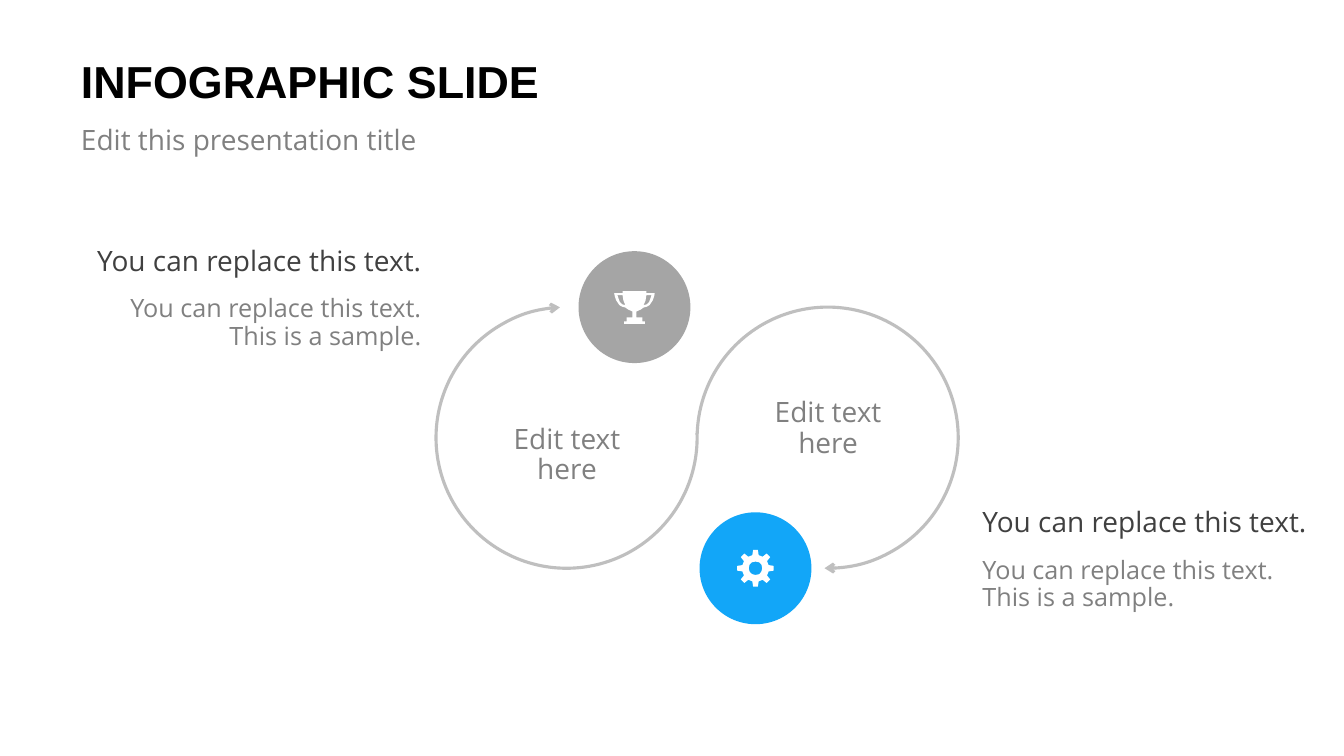
from math import cos, radians, sin

from lxml.etree import SubElement
from pptx import Presentation
from pptx.dml.color import RGBColor
from pptx.enum.shapes import MSO_SHAPE
from pptx.enum.text import MSO_ANCHOR, MSO_AUTO_SIZE, PP_ALIGN
from pptx.oxml.ns import qn
from pptx.util import Cm, Pt

BLACK = RGBColor(0x00, 0x00, 0x00)
DARK = RGBColor(0x40, 0x40, 0x40)
GRAY = RGBColor(0x80, 0x80, 0x80)
SILVER = RGBColor(0xA5, 0xA5, 0xA5)
LIGHT = RGBColor(0xBF, 0xBF, 0xBF)
BLUE = RGBColor(0x12, 0xA6, 0xF8)
WHITE = RGBColor(0xFF, 0xFF, 0xFF)

RING = 6.58   # diameter of each loop, cm
DISC = 2.82   # diameter of each icon disc, cm
UNIT = Cm(0.01)

# Right half of the trophy, from its top centre, in 0.1 mm
CUP = [(0, 0), (30, 0), (30, 5), (51, 5), (50, 11), (46, 23), (38, 35), (31, 39),
       (23, 41), (16, 46), (5, 51), (5, 66), (20, 66), (20, 76), (26, 76), (26, 82)]
HANDLE = [(30, 10), (28, 23), (23, 35), (31, 33), (37, 27), (43, 10)]


def write(frame, text, size=20, color=GRAY, font="Open Sans", bold=False,
          align=PP_ALIGN.LEFT, anchor=MSO_ANCHOR.TOP, wrap=True,
          fit=MSO_AUTO_SIZE.SHAPE_TO_FIT_TEXT, space=0.9):
    frame.word_wrap = wrap
    frame.auto_size = fit
    frame.vertical_anchor = anchor
    para = frame.paragraphs[0]
    para.text = text
    para.alignment = align
    para.line_spacing = space
    para.space_before = Pt(0)
    for run in para.runs:
        run.font.name = font
        run.font.size = Pt(size)
        run.font.bold = bold
        run.font.color.rgb = color
    return para


def label(slide, box, text, **form):
    frame = slide.shapes.add_textbox(*map(Cm, box)).text_frame
    write(frame, text, **form)


def paint(shape, color):
    shape.shadow.inherit = False
    shape.fill.solid()
    shape.fill.fore_color.rgb = color
    shape.line.fill.background()


def outline(slide, x, y, paths, color):
    """Fill closed paths, given in 0.1 mm around the point x, y."""
    pen = slide.shapes.build_freeform(*paths[0][0], scale=UNIT)
    pen.add_line_segments(paths[0][1:], close=True)
    for path in paths[1:]:
        pen.move_to(*path[0])
        pen.add_line_segments(path[1:], close=True)
    paint(pen.convert_to_shape(Cm(x), Cm(y)), color)


def polar(radius, angle):
    return radius * cos(radians(angle)), radius * sin(radians(angle))


def gear(slide, x, y):
    rim = [polar(r, tooth + turn) for tooth in range(0, 360, 45)
           for r, turn in ((34, -13), (46, -8), (46, 8), (34, 13))]
    hole = [polar(17, turn) for turn in range(360, 0, -15)]
    outline(slide, x, y, [rim, hole], WHITE)


def trophy(slide, x, y):
    def flip(half):
        return [(-dx, dy) for dx, dy in reversed(half)]
    paths = [CUP + flip(CUP), HANDLE, flip(HANDLE)]
    outline(slide, x, y - 0.4, paths, WHITE)


def loop(slide, x, y, start, end):
    arc = slide.shapes.add_shape(MSO_SHAPE.ARC, Cm(x), Cm(y), Cm(RING), Cm(RING))
    # One degree is 0.6 in adjustment units
    arc.adjustments[0] = start * 0.6
    arc.adjustments[1] = end * 0.6
    arc.shadow.inherit = False
    arc.fill.background()
    arc.line.color.rgb = LIGHT
    arc.line.width = Pt(2.25)
    SubElement(arc.line._get_or_add_ln(), qn("a:tailEnd"), type="arrow")


def disc(slide, x, y, color, icon):
    shape = slide.shapes.add_shape(MSO_SHAPE.OVAL, Cm(x - DISC / 2), Cm(y - DISC / 2),
                                   Cm(DISC), Cm(DISC))
    paint(shape, color)
    icon(slide, x, y)


def header(slide, x, y):
    title, body = slide.placeholders
    for holder, box in ((title, (x, y, 21.59, 1.98)), (body, (x, y + 1.98, 11, 1.42))):
        holder.left, holder.top, holder.width, holder.height = map(Cm, box)
        frame = holder.text_frame
        frame.margin_left = frame.margin_right = Cm(0.34)
        frame.margin_top = frame.margin_bottom = Cm(0.17)
    write(title.text_frame, "INFOGRAPHIC SLIDE", size=32, color=BLACK, font="Arial",
          bold=True, anchor=MSO_ANCHOR.MIDDLE, fit=MSO_AUTO_SIZE.NONE, space=1)
    para = write(body.text_frame, "Edit this presentation title", fit=MSO_AUTO_SIZE.NONE)
    # Plain paragraph with a hanging indent
    props = para._p.get_or_add_pPr()
    props.set("marL", str(Cm(1.27)))
    props.set("indent", str(-Cm(1.27)))
    SubElement(props, qn("a:buNone"))


def cycle(slide, x, y):
    # Two loops that meet side by side
    loop(slide, x, y, 358, 267.1)
    loop(slide, x + RING, y, 181.8, 91.4)
    # Icon discs on the top and bottom lines of the loops
    disc(slide, x + 5, y, SILVER, trophy)
    disc(slide, x + 8.05, y + RING, BLUE, gear)
    # Loop labels
    for left, top in ((x, y + 2.75), (x + RING, y + 2.09)):
        label(slide, (left + 0.53, top, 5.54, 1.96), "Edit text\vhere",
              align=PP_ALIGN.CENTER, anchor=MSO_ANCHOR.MIDDLE)


def callout(slide, x, y, align):
    """Heading over a note; both keep to the aligned edge."""
    wide, narrow = 8.74, 7.9
    shift = wide - narrow if align == PP_ALIGN.RIGHT else 0
    label(slide, (x + shift, y + 1.24, narrow, 1.78),
          "You can replace this text. This is a sample.", size=18, align=align)
    label(slide, (x, y, wide, 1.12), "You can replace this text.",
          color=DARK, align=align, wrap=False)


def main():
    deck = Presentation()
    deck.slide_width, deck.slide_height = Cm(33.87), Cm(19.05)
    slide = deck.slides.add_slide(deck.slide_layouts[1])
    header(slide, 1.7, 1.04)
    cycle(slide, 10.99, 7.74)
    callout(slide, 2.13, 6.1, PP_ALIGN.RIGHT)
    callout(slide, 24.51, 12.68, PP_ALIGN.LEFT)
    deck.save("out.pptx")


if __name__ == "__main__":
    main()
